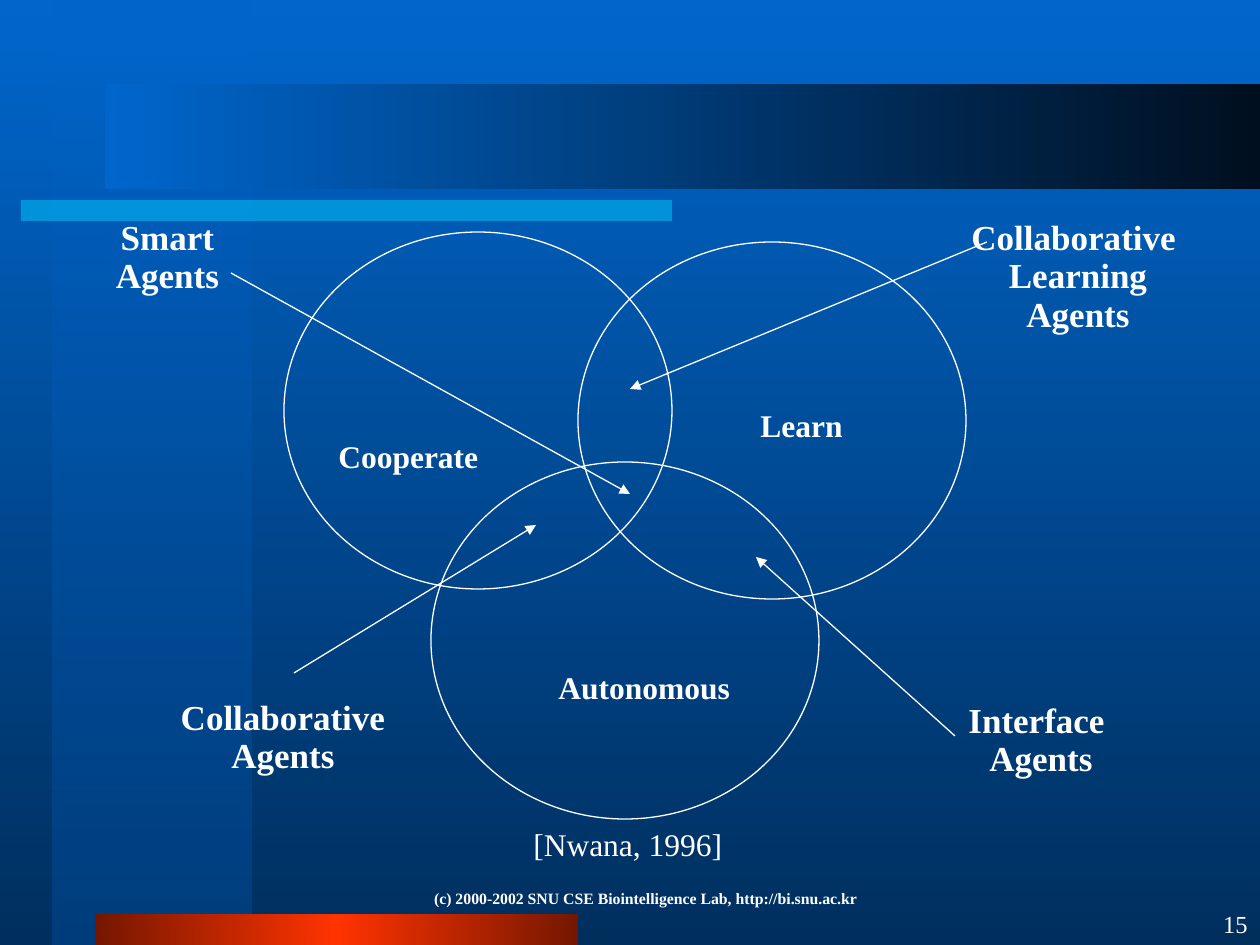
"""Build the Venn diagram slide of agent types."""
from copy import deepcopy

from pptx import Presentation
from pptx import util as u
from pptx.dml.color import RGBColor
from pptx.enum import shapes, text
from pptx.oxml.ns import qn
from lxml import etree

WHITE = RGBColor(0xFF, 0xFF, 0xFF)
SKY = RGBColor(0x00, 0x66, 0xCC)
DEEP = RGBColor(0x00, 0x2F, 0x5E)
STRIPE = RGBColor(0x00, 0x3E, 0x7D)
NIGHT = RGBColor(0x00, 0x0F, 0x1F)
CYAN = RGBColor(0x00, 0xCC, 0xFF)
RUST = RGBColor(0x75, 0x17, 0x00)
FLAME = RGBColor(0xFF, 0x33, 0x00)

DOWN, LEFTWARD = 270, 180
EMU_PER_PX = 914400 / 126
CENTER, RIGHT = text.PP_ALIGN.CENTER, text.PP_ALIGN.RIGHT


def px(*lengths):
    return [u.Emu(round(length * EMU_PER_PX)) for length in lengths]


def assign(target, values):
    for name, value in values.items():
        setattr(target, name, value)


class Slide:
    """Holds the style and the current slide."""

    font = {"name": "Times New Roman", "bold": True}
    circle_size = (388, 357)
    term = {"size": 18}
    agent = {"size": 20, "align": CENTER, "line_spacing": 0.7, "gap": 5}

    def __init__(self, deck):
        self.page = deck.slides.add_slide(deck.slide_layouts[6])

    def fade(self, fill, element, colors, angle):
        fill.gradient()
        fill.gradient_angle = angle
        stops = element.xpath(".//a:gsLst")[0]
        for _ in colors[2:]:
            stops.append(deepcopy(stops[-1]))
        for index, (stop, color) in enumerate(zip(fill.gradient_stops, colors)):
            stop.color.rgb = color
            stop.position = index / (len(colors) - 1)

    def background(self, colors, angle):
        self.fade(self.page.background.fill, self.page.element, colors, angle)

    def shape(self, kind, *place):
        shape = self.page.shapes.add_shape(kind, *px(*place))
        shape.shadow.inherit = False
        return shape

    def band(self, place, colors, angle=DOWN, alpha=None):
        band = self.shape(shapes.MSO_SHAPE.RECTANGLE, *place)
        band.line.fill.background()
        if len(colors) > 1:
            self.fade(band.fill, band.element, colors, angle)
        else:
            band.fill.solid()
            band.fill.fore_color.rgb = colors[0]
        if alpha:
            first = band.element.spPr.xpath(".//a:srgbClr")[0]
            etree.SubElement(first, qn("a:alpha"), val=str(alpha * 1000))

    def circle(self, left, top):
        circle = self.shape(shapes.MSO_SHAPE.OVAL, left, top, *self.circle_size)
        circle.fill.background()
        self.outline(circle.line)

    def outline(self, line):
        line.color.rgb = WHITE
        line.width = u.Pt(0.75)

    def arrow(self, start, end):
        arrow = self.page.shapes.add_connector(
            shapes.MSO_CONNECTOR.STRAIGHT, *px(*start, *end))
        self.outline(arrow.line)
        properties = arrow.element.spPr
        etree.SubElement(properties.find(qn("a:ln")), qn("a:tailEnd"), type="triangle")
        etree.SubElement(properties, qn("a:effectLst"))

    def label(self, place, lines, size, align=None, line_spacing=None, gap=0,
              wrap=False, anchor=text.MSO_ANCHOR.TOP, **font):
        box = self.page.shapes.add_textbox(*px(*place))
        fit = text.MSO_AUTO_SIZE.NONE if wrap else text.MSO_AUTO_SIZE.SHAPE_TO_FIT_TEXT
        frame = box.text_frame
        assign(frame, {"word_wrap": wrap, "auto_size": fit, "vertical_anchor": anchor})
        for index, line in enumerate(lines):
            para = frame.add_paragraph() if index else frame.paragraphs[0]
            assign(para, {"alignment": align, "line_spacing": line_spacing})
            if index:
                para.space_before = u.Pt(gap)
            span = para.add_run()
            span.text = line
            assign(span.font, {**self.font, "size": u.Pt(size), **font})
            span.font.color.rgb = WHITE


def main():
    deck = Presentation()
    deck.slide_width, deck.slide_height = px(1260, 945)
    slide = Slide(deck)

    slide.background([SKY, DEEP], DOWN)
    slide.band((53, 0, 199, 945), [SKY, STRIPE], alpha=50)
    slide.band((21, 200, 651, 21), [CYAN], alpha=50)
    slide.band((95, 914, 483, 31), [RUST, FLAME, RUST], LEFTWARD)
    slide.band((105, 84, 1155, 105), [NIGHT, SKY], LEFTWARD)

    for corner in [(284, 232), (578, 242), (431, 462)]:
        slide.circle(*corner)

    for start, end in [
        ((987, 242), (630, 389)),
        ((955, 736), (756, 557)),
        ((294, 673), (536, 525)),
        ((231, 273), (630, 494)),
    ]:
        slide.arrow(start, end)

    for place, term in [
        ((326, 431, 165, 50), "Cooperate"),
        ((748, 400, 107, 50), "Learn"),
        ((546, 662, 197, 50), "Autonomous"),
    ]:
        slide.label(place, [term], **slide.term)

    for place, lines in [
        ((166, 701, 234, 81), ["Collaborative", "Agents"]),
        ((102, 221, 131, 81), ["Smart", "Agents"]),
        ((956, 221, 244, 118), ["Collaborative ", "Learning", "Agents"]),
        ((954, 704, 174, 81), ["Interface ", "Agents"]),
    ]:
        slide.label(place, lines, **slide.agent)

    slide.label((521, 819, 214, 50), ["[Nwana, 1996]"], **slide.term, bold=False)
    slide.label((367, 883, 557, 32),
                ["(c) 2000-2002 SNU CSE Biointelligence Lab, http://bi.snu.ac.kr"],
                size=9, align=CENTER, wrap=True)
    slide.label((1040, 903, 220, 42), ["15"], size=14, align=RIGHT, wrap=True,
                anchor=text.MSO_ANCHOR.MIDDLE, bold=False)

    deck.save("out.pptx")


if __name__ == "__main__":
    main()
